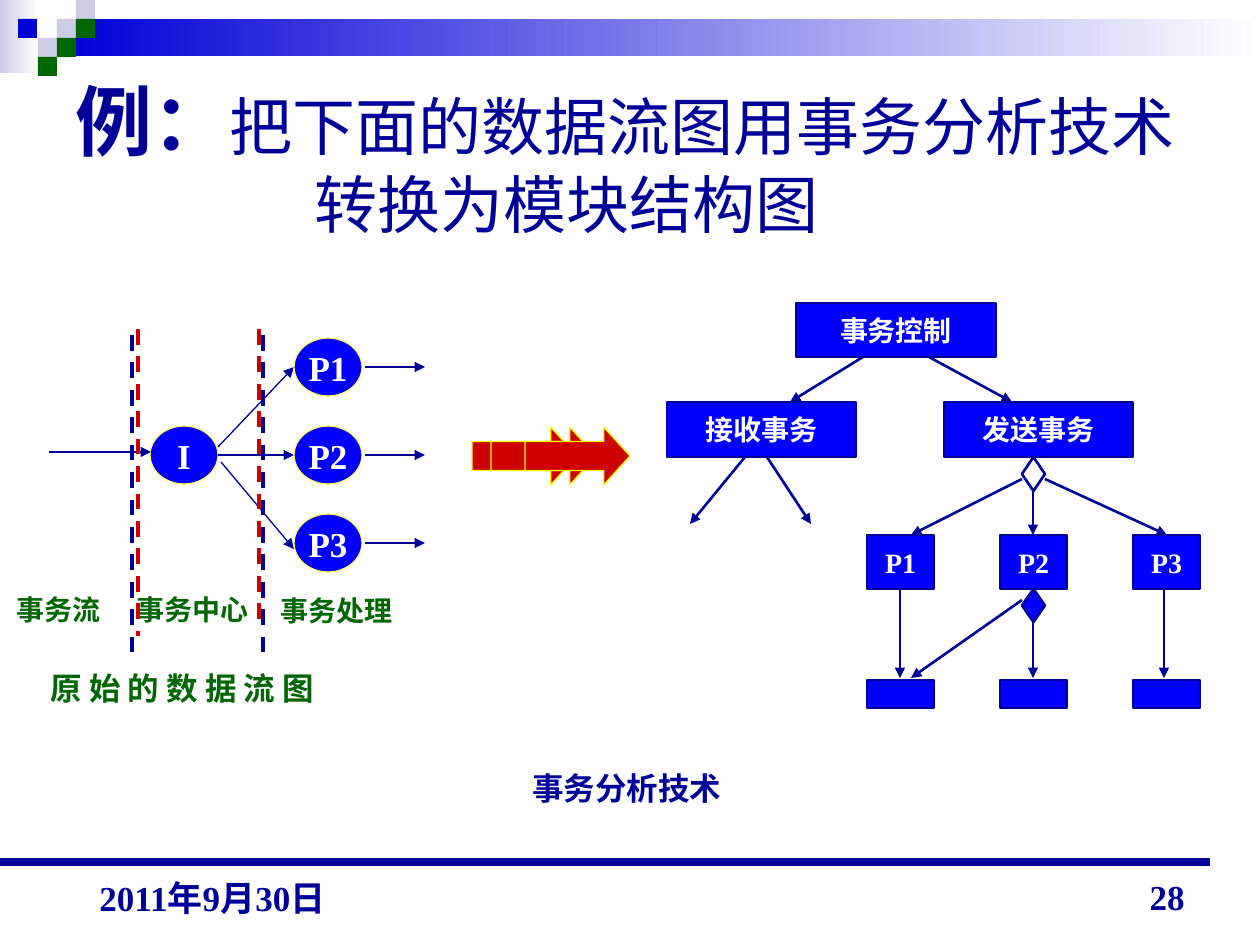
from lxml import etree
from pptx import Presentation
from pptx.dml.color import RGBColor
from pptx.enum.dml import MSO_LINE
from pptx.enum.shapes import MSO_CONNECTOR, MSO_SHAPE
from pptx.enum.text import MSO_ANCHOR, PP_ALIGN
from pptx.oxml.ns import qn
from pptx.util import Pt

RECT, OVAL = MSO_SHAPE.RECTANGLE, MSO_SHAPE.OVAL
DIAMOND, ARROW = MSO_SHAPE.DIAMOND, MSO_SHAPE.RIGHT_ARROW
STRAIGHT, DASH = MSO_CONNECTOR.STRAIGHT, MSO_LINE.DASH
TOP, MIDDLE, BOTTOM = MSO_ANCHOR.TOP, MSO_ANCHOR.MIDDLE, MSO_ANCHOR.BOTTOM
LEFT, CENTER, RIGHT = PP_ALIGN.LEFT, PP_ALIGN.CENTER, PP_ALIGN.RIGHT

EMU_PER_PX = 914400 / 126
FONT = "Times New Roman"
COLORS = {
    "navy": "000099", "blue": "0000FF", "band": "0000D6", "lilac": "CCCCE6",
    "green": "006600", "red": "CC0000", "yellow": "FFFF00",
    "pale_yellow": "FFFF66", "white": "FFFFFF",
}


def emu(*lengths):
    return [round(length * EMU_PER_PX) for length in lengths]


def rgb(name):
    return RGBColor.from_string(COLORS[name])


class SlideBuilder:
    def __init__(self, slide):
        self.slide = slide

    def style(self, font, size, color, bold=True):
        font.name, font.size, font.bold = FONT, Pt(size), bold
        font.color.rgb = rgb(color)

    def shape(self, kind, box, fill=None, line=None, width=1.5, text="", size=16):
        shape = self.slide.shapes.add_shape(kind, *emu(*box))
        shape.shadow.inherit = False
        if fill:
            shape.fill.solid()
            shape.fill.fore_color.rgb = rgb(fill)
        else:
            shape.fill.background()
        if line:
            shape.line.color.rgb = rgb(line)
            shape.line.width = Pt(width)
        else:
            shape.line.fill.background()
        if text:
            frame = shape.text_frame
            frame.word_wrap = False
            frame.vertical_anchor = MIDDLE
            label = frame.paragraphs[0]
            label.text, label.alignment = text, CENTER
            self.style(label.font, size, "white")
        return shape

    def gradient(self, box, start, end):
        band = self.shape(RECT, box)
        band.fill.gradient()
        band.fill.gradient_angle = 0
        for stop, color in zip(band.fill.gradient_stops, (start, end)):
            stop.color.rgb = rgb(color)

    def line(self, start, end, width, color="navy", arrow=False, dashed=False):
        line = self.slide.shapes.add_connector(STRAIGHT, *emu(*start, *end))
        line.line.color.rgb = rgb(color)
        line.line.width = Pt(width)
        if dashed:
            line.line.dash_style = DASH
        properties = line._element.spPr
        if arrow:
            etree.SubElement(properties.find(qn("a:ln")), qn("a:tailEnd"), type="triangle")
        etree.SubElement(properties, qn("a:effectLst"))

    def arrow(self, start, end, width):
        self.line(start, end, width, arrow=True)

    def text(self, box, words, size, color="navy", align=LEFT, anchor=TOP, spacing=None):
        frame = self.slide.shapes.add_textbox(*emu(*box)).text_frame
        frame.word_wrap = True
        frame.vertical_anchor = anchor
        paragraph = frame.paragraphs[0]
        paragraph.text, paragraph.alignment = words, align
        if spacing:
            paragraph.line_spacing = spacing
        self.style(paragraph.font, size, color)

    def title(self, box, lead, rest, hanging):
        frame = self.slide.shapes.add_textbox(*emu(*box)).text_frame
        frame.word_wrap = True
        frame.vertical_anchor = MIDDLE
        paragraph = frame.paragraphs[0]
        indent = emu(hanging)[0]
        properties = paragraph._p.get_or_add_pPr()
        properties.set("marL", str(indent))
        properties.set("indent", str(-indent))
        run = paragraph.add_run()
        run.text = lead
        self.style(run.font, 44, "navy")
        for number, words in enumerate(rest):
            if number:
                paragraph.add_line_break()
            run = paragraph.add_run()
            run.text = words
            self.style(run.font, 36, "navy", bold=False)


def draw_frame(b):
    # Top band, corner squares and footer rule
    b.gradient((0, 0, 39, 73), "lilac", "white")
    b.gradient((57, 19, 1203, 37), "band", "white")
    for x, y, color in [(57, 19, "lilac"), (76, 0, "lilac"), (76, 19, "green"),
                        (38, 38, "lilac"), (18, 19, "band"), (57, 38, "green"),
                        (38, 57, "green")]:
        b.shape(RECT, (x, y, 19, 19), color)
    b.line((0, 862), (1210, 862), 4.5)


def draw_data_flow(b):
    # Transaction centre and its three processes
    b.text((38, 670, 421, 43), "原 始 的 数 据 流 图", 18, "green", spacing=0.8)
    b.shape(OVAL, (150, 426, 68, 58), "blue", "pale_yellow", 0.75, "I", 20)
    for start, end in [((218, 447), (294, 367)), ((218, 455), (294, 455)),
                       ((221, 462), (294, 549))]:
        b.arrow(start, end, 0.75)
    for row, name in enumerate(("P1", "P2", "P3")):
        y = 338 + 88 * row
        b.shape(OVAL, (294, y, 68, 58), "blue", "pale_yellow", 0.75, name, 20)
        b.arrow((365, y + 29), (425, y + 29), 0.75)

    # Boundaries and region labels
    for x in (132, 263):
        b.line((x, 335), (x, 659), 2.25, dashed=True)
    for x, y, region in [(4, 586, "事务流"), (124, 586, "事务中心"), (268, 587, "事务处理")]:
        b.text((x, y, 170, 47), region, 16, "green")
    b.arrow((49, 452), (151, 452), 0.75)
    for x, bottom in [(138, 636), (259, 628)]:
        b.line((x, 329), (x, bottom), 2.25, "red", dashed=True)


def draw_conversion(b):
    # Overlapping arrows from data flow to modules
    for x in (472, 491, 525):
        arrow = b.shape(ARROW, (x, 427, 105, 58), "red", "yellow", 0.75)
        arrow.adjustments[1] = 0.455


def draw_modules(b):
    # Control, receiving and sending modules
    for box, name in [((796, 303, 200, 54), "事务控制"), ((667, 402, 189, 55), "接收事务"),
                      ((944, 402, 189, 55), "发送事务")]:
        b.shape(RECT, box, "blue", "navy", text=name)

    # Process modules with their lower modules
    for column, name in enumerate(("P1", "P2", "P3")):
        x = 867 + 133 * column
        b.shape(RECT, (x, 535, 67, 54), "blue", "navy", text=name)
        b.shape(RECT, (x, 680, 67, 28), "blue", "navy")
    b.shape(DIAMOND, (1022, 457, 23, 34), line="navy")
    b.shape(DIAMOND, (1022, 589, 23, 33), "blue", "navy")

    # Calls between modules
    for start, end in [((863, 357), (790, 402)), ((929, 357), (1012, 402)),
                       ((745, 457), (690, 524)), ((767, 457), (811, 524)),
                       ((1022, 479), (911, 535)), ((1033, 490), (1033, 535)),
                       ((1045, 479), (1167, 535)), ((900, 589), (900, 678)),
                       ((1033, 622), (1033, 678)), ((1164, 589), (1164, 678)),
                       ((1022, 600), (911, 678))]:
        b.arrow(start, end, 1.5)


def main():
    deck = Presentation()
    deck.slide_width, deck.slide_height = emu(1260, 945)
    b = SlideBuilder(deck.slides.add_slide(deck.slide_layouts[6]))
    draw_frame(b)
    draw_conversion(b)
    draw_data_flow(b)
    draw_modules(b)

    # Caption, title and footer
    b.text((520, 763, 322, 50), "事务分析技术", 18)
    b.title((63, 63, 1134, 189), "例：", ("把下面的数据流图用事务分析技术", "转换为模块结构图"), 239)
    b.text((903, 861, 294, 63), "28", 20, align=RIGHT, anchor=BOTTOM)
    b.text((87, 859, 294, 66), "2011年9月30日", 20, anchor=BOTTOM)
    deck.save("out.pptx")


if __name__ == "__main__":
    main()
